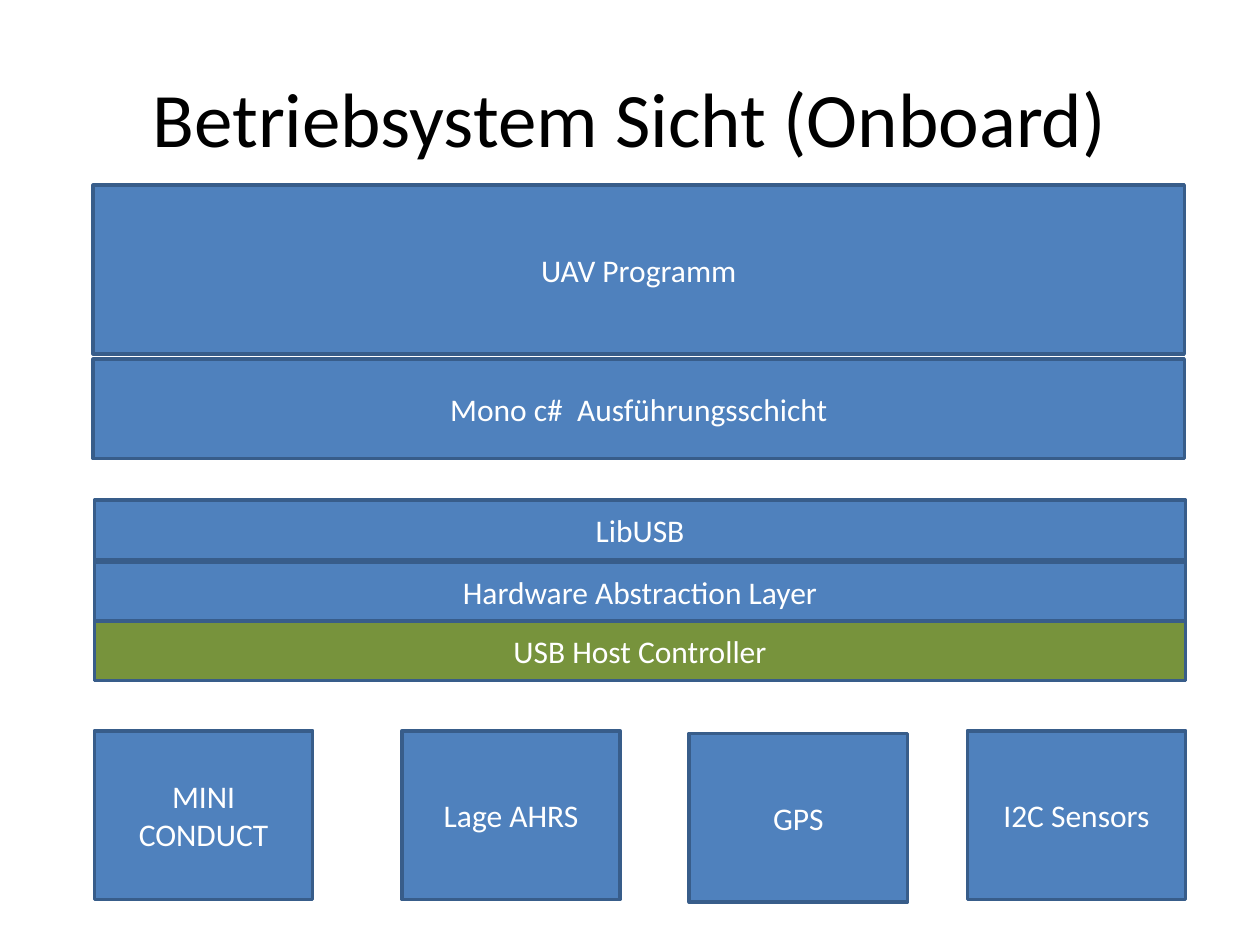
from dataclasses import dataclass

from pptx import Presentation
from pptx import util as u
from pptx.dml.color import RGBColor
from pptx.enum import shapes, text

BLUE = RGBColor(0x4F, 0x81, 0xBD)
GREEN = RGBColor(0x77, 0x93, 0x3C)
EDGE = RGBColor(0x38, 0x5D, 0x8A)
WHITE = RGBColor(0xFF, 0xFF, 0xFF)
BLACK = RGBColor(0, 0, 0)
FONT = "Calibri"

LEFT, WIDTH = 0.75, 8.66
UPPER_LEFT = 0.74
BAND_H = 0.47
BLOCK_H = 1.34
DEVICE_W = WIDTH / 5
DEVICE_TOP = 5.8


@dataclass(frozen=True)
class Box:
    label: str
    left: float
    top: float
    width: float
    height: float
    fill: RGBColor = BLUE


def write(sp, label: str, size: int, color: RGBColor) -> None:
    """Put one centred line of text in the middle of a shape."""
    tf = sp.text_frame
    tf.word_wrap = True
    tf.vertical_anchor = text.MSO_ANCHOR.MIDDLE
    p = tf.paragraphs[0]
    p.text = label
    p.alignment = text.PP_ALIGN.CENTER
    p.font.name = FONT
    p.font.size = u.Pt(size)
    p.font.color.rgb = color


def draw_box(s, box: Box) -> None:
    sp = s.shapes.add_shape(
        shapes.MSO_SHAPE.RECTANGLE,
        *map(u.Inches, (box.left, box.top, box.width, box.height)))
    sp.shadow.inherit = False
    sp.fill.solid()
    sp.fill.fore_color.rgb = box.fill
    sp.line.color.rgb = EDGE
    sp.line.width = u.Pt(2)
    if box.label:
        write(sp, box.label, 18, WHITE)


def draw_title(s, label: str) -> None:
    sp = s.shapes.add_textbox(*map(u.Inches, (0.5, 0.3, 9, 1.25)))
    write(sp, label, 44, BLACK)


DEVICES = [
    Box(label, left, DEVICE_TOP + drop, DEVICE_W, BLOCK_H)
    for label, left, drop in (
        ("MINI CONDUCT", LEFT, 0),
        ("Lage AHRS", 3.19, 0),
        ("GPS", 5.47, 0.02),
        ("I2C Sensors", LEFT + WIDTH - DEVICE_W, 0),
    )
]
LAYERS = [
    Box("", LEFT, 4.06, WIDTH, BLOCK_H),
    Box("USB Host Controller", LEFT, 4.93, WIDTH, BAND_H, GREEN),
    Box("Hardware Abstraction Layer", LEFT, 4.46, WIDTH, BAND_H),
    Box("LibUSB", LEFT, 3.97, WIDTH, BAND_H),
    Box("Mono c#  Ausführungsschicht", UPPER_LEFT, 2.85, WIDTH, 0.79),
    Box("UAV Programm", UPPER_LEFT, 1.47, WIDTH, BLOCK_H),
]


def main() -> None:
    prs = Presentation()
    prs.slide_width, prs.slide_height = u.Inches(10), u.Inches(7.5)
    s = prs.slides.add_slide(prs.slide_layouts[6])
    for box in DEVICES + LAYERS:
        draw_box(s, box)
    draw_title(s, "Betriebsystem Sicht (Onboard)")
    prs.save("out.pptx")


if __name__ == "__main__":
    main()
